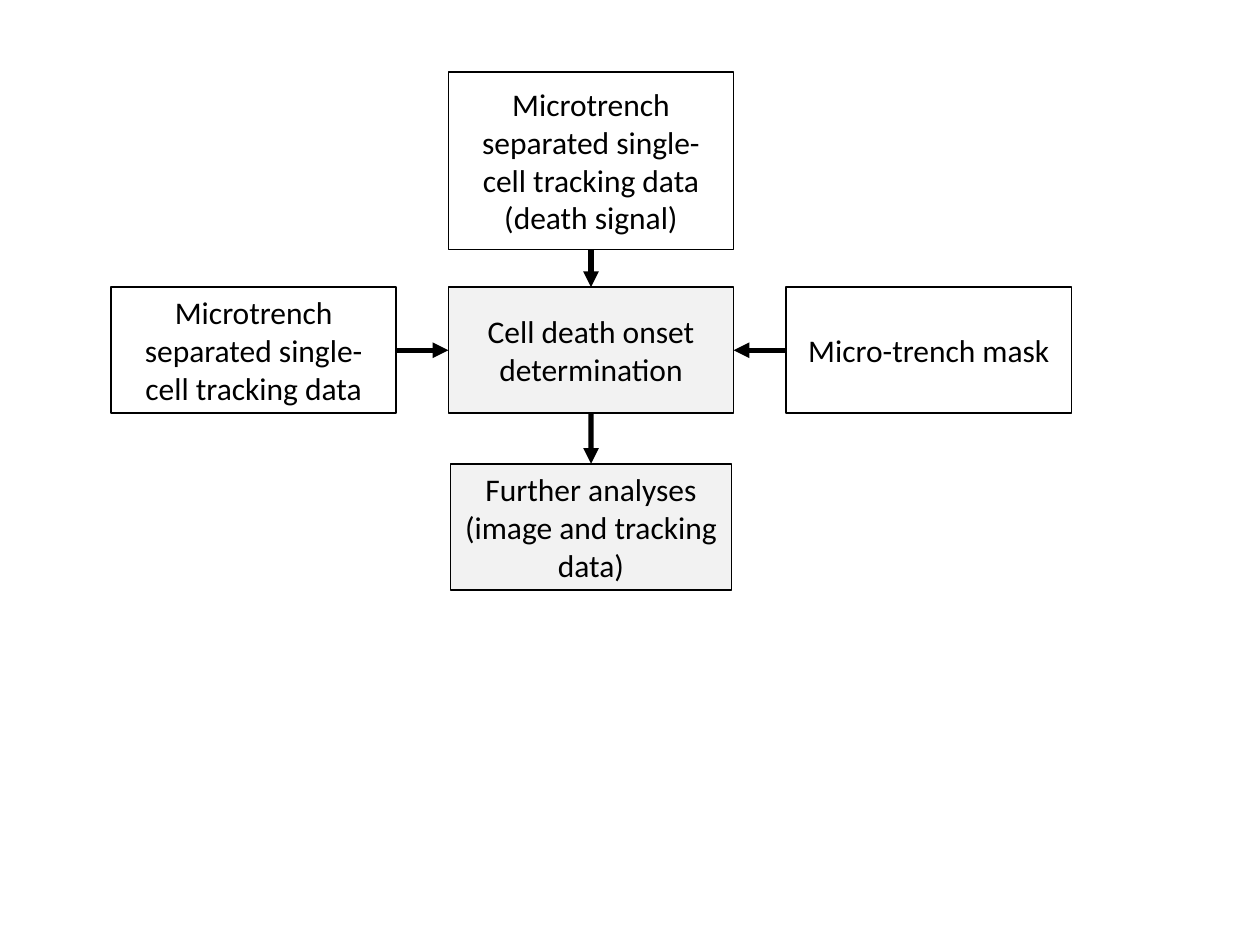
"""Build a flow chart of the inputs and output of cell death onset determination."""
import pptx
import pptx.dml.color
import pptx.enum.shapes
import pptx.enum.text
import pptx.oxml.ns
import pptx.util
from lxml import etree

Cm = pptx.util.Cm
Pt = pptx.util.Pt
RGBColor = pptx.dml.color.RGBColor

BLACK = RGBColor(0x00, 0x00, 0x00)
WHITE = RGBColor(0xFF, 0xFF, 0xFF)
LIGHT_GRAY = RGBColor(0xF2, 0xF2, 0xF2)

TOP, LEFT, BOTTOM, RIGHT = range(4)

presentation = pptx.Presentation()
presentation.slide_width = Cm(25.4)
presentation.slide_height = Cm(19.05)
slide = presentation.slides.add_slide(presentation.slide_layouts[6])

boxes = [
    ("tracking", "Microtrench separated single-cell tracking data", 2.24, 5.79, 5.75, 2.54, WHITE),
    ("onset", "Cell death onset determination", 9.04, 5.79, 5.75, 2.54, LIGHT_GRAY),
    ("analyses", "Further analyses (image and tracking data)", 9.08, 9.35, 5.67, 2.54, LIGHT_GRAY),
    ("signal", "Microtrench separated single-cell tracking data (death signal)",
     9.04, 1.45, 5.75, 3.58, WHITE),
    ("mask", "Micro-trench mask", 15.85, 5.79, 5.75, 2.54, WHITE),
]

shapes = {}
for name, text, left, top, width, height, color in boxes:
    shape = slide.shapes.add_shape(
        pptx.enum.shapes.MSO_SHAPE.RECTANGLE, Cm(left), Cm(top), Cm(width), Cm(height)
    )
    shape.shadow.inherit = False
    shape.fill.solid()
    shape.fill.fore_color.rgb = color
    shape.line.color.rgb = BLACK
    shape.line.width = Pt(1)
    shape.text_frame.word_wrap = True
    shape.text_frame.vertical_anchor = pptx.enum.text.MSO_ANCHOR.MIDDLE
    paragraph = shape.text_frame.paragraphs[0]
    paragraph.text = text
    paragraph.alignment = pptx.enum.text.PP_ALIGN.CENTER
    paragraph.font.name = "Calibri"
    paragraph.font.size = Pt(18)
    paragraph.font.color.rgb = BLACK
    shapes[name] = shape

arrows = [
    ("onset", BOTTOM, "analyses", TOP),
    ("signal", BOTTOM, "onset", TOP),
    ("tracking", RIGHT, "onset", LEFT),
    ("mask", LEFT, "onset", RIGHT),
]

for source, source_side, target, target_side in arrows:
    connector = slide.shapes.add_connector(
        pptx.enum.shapes.MSO_CONNECTOR.STRAIGHT, Cm(0), Cm(0), Cm(0), Cm(0)
    )
    connector.begin_connect(shapes[source], source_side)
    connector.end_connect(shapes[target], target_side)
    connector.line.color.rgb = BLACK
    connector.line.width = Pt(3)
    properties = connector.element.spPr
    line = properties.find(pptx.oxml.ns.qn("a:ln"))
    etree.SubElement(line, pptx.oxml.ns.qn("a:tailEnd"), type="triangle")
    etree.SubElement(properties, pptx.oxml.ns.qn("a:effectLst"))

presentation.save("out.pptx")
